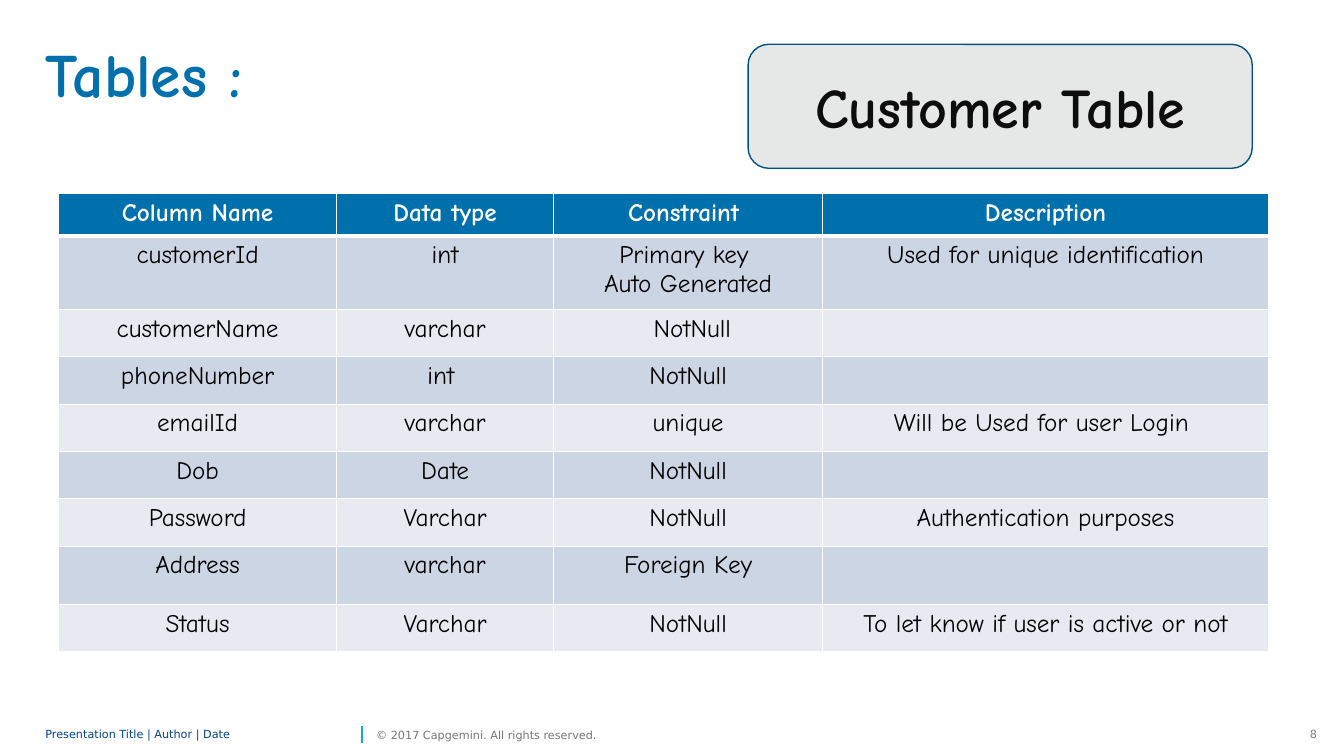
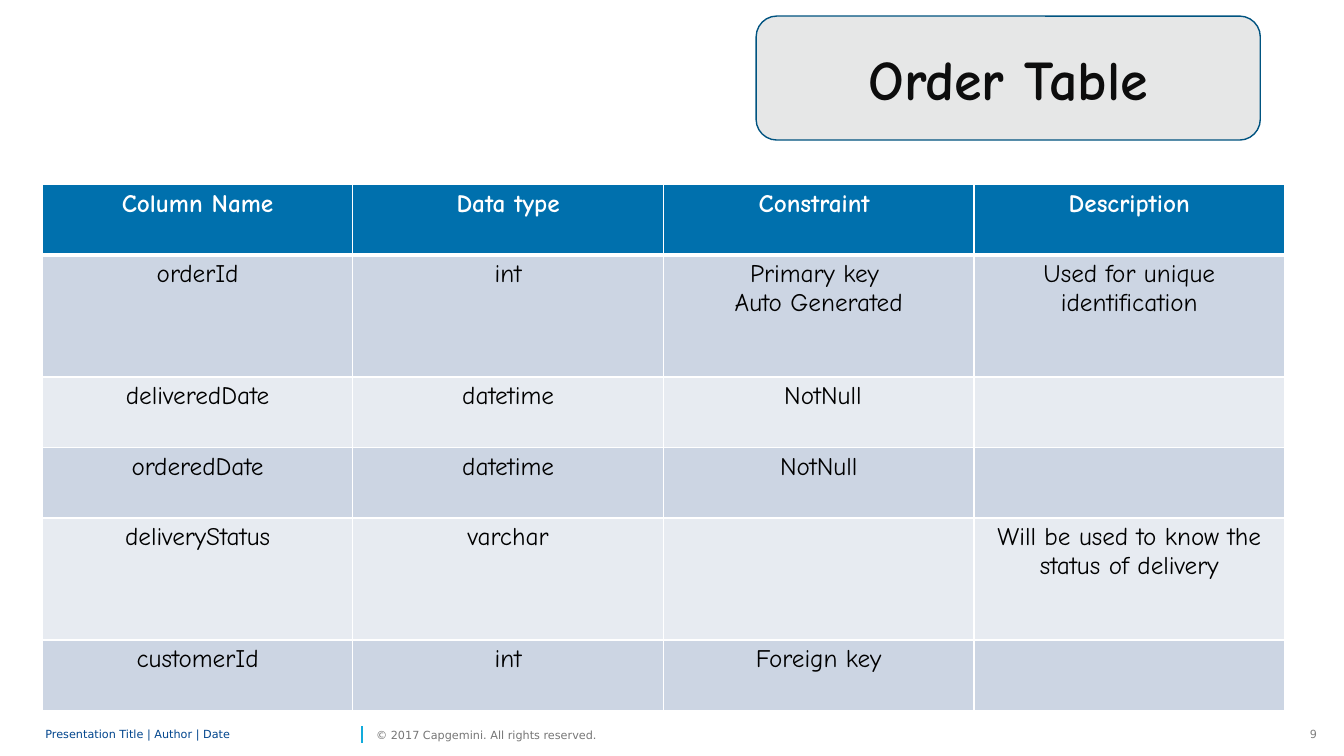
from dataclasses import dataclass

from lxml import etree
from pptx import Presentation
from pptx.dml.color import RGBColor
from pptx.enum.shapes import MSO_CONNECTOR, MSO_SHAPE
from pptx.enum.text import MSO_ANCHOR, MSO_AUTO_SIZE, PP_ALIGN
from pptx.oxml.ns import qn
from pptx.util import Inches, Pt

LEFT, CENTER, RIGHT = PP_ALIGN.LEFT, PP_ALIGN.CENTER, PP_ALIGN.RIGHT
TOP, MIDDLE = MSO_ANCHOR.TOP, MSO_ANCHOR.MIDDLE
NO_FIT = MSO_AUTO_SIZE.NONE
ROUNDED = MSO_SHAPE.ROUNDED_RECTANGLE
STRAIGHT = MSO_CONNECTOR.STRAIGHT
TITLE_ONLY, BLANK = 5, 6

BLUE, WHITE, BLACK = "0070AD", "FFFFFF", "000000"
BANDS = ("CCD5E3", "E7EBF1")
BADGE_FILL, BADGE_LINE, BADGE_TEXT = "E6E7E7", "005380", "0D0D0D"
RULE, FOOTER_BLUE, FOOTER_GREY, NUMBER_GREY = "12ABDB", "00458D", "767676", "808080"
BODY_FONT, FOOTER_FONT = "Comic Neue", "DejaVu Sans"
HEADER = ("Column Name", "Data type", "Constraint ", "Description")


@dataclass
class FooterText:
    text: str
    left: float
    width: float
    color: str
    align: PP_ALIGN = LEFT
    anchor: MSO_ANCHOR = MIDDLE
    inset: float = 0
    wrap: bool = False
    spacing: float = 1.0


@dataclass
class TableSlide:
    number: int
    title: str
    badge: str
    badge_at: tuple[float, float]
    table_at: tuple[float, float]
    widths: list[float]
    heights: list[float]
    rows: list[tuple[str, str, str, str]]


SLIDES = [
    TableSlide(
        8, "Tables :", "Customer Table", (7.42, 0.44), (0.58, 1.92),
        [2.76, 2.15, 2.67, 4.42],
        [0.42, 0.73] + [0.47] * 5 + [0.58, 0.47],
        [
            ("customerId", " int ", "Primary key \nAuto Generated", "Used for unique identification"),
            ("customerName", "varchar", " NotNull", ""),
            ("phoneNumber", "int ", "NotNull", ""),
            ("emailId", "varchar", "unique", "Will be Used for user Login "),
            ("Dob", "Date", "NotNull", ""),
            ("Password", "Varchar", "NotNull", "Authentication purposes"),
            ("Address", "varchar", "Foreign Key", ""),
            ("Status", "Varchar", "NotNull", "To let know if user is active or not"),
        ],
    ),
    TableSlide(
        9, "", "Order Table", (7.5, 0.16), (0.42, 1.83),
        [3.08] * 4,
        [0.7, 1.21, 0.7, 0.7, 1.21, 0.7],
        [
            ("orderId", " int ", "Primary key \nAuto Generated", "Used for unique identification"),
            ("deliveredDate", "datetime", " NotNull", ""),
            ("orderedDate", "datetime", "NotNull", ""),
            ("deliveryStatus", "varchar", "", "Will be used to know the status of delivery"),
            ("customerId", "int", "Foreign key", ""),
        ],
    ),
]


def rgb(color: str) -> RGBColor:
    return RGBColor.from_string(color)


def set_text(tf, text: str, size: float, color: str, font: str = BODY_FONT,
             bold: bool = False, align: PP_ALIGN = CENTER, spacing: float = 1.0) -> None:
    tf.text = text
    for p in tf.paragraphs:
        p.alignment = align
        p.line_spacing = spacing
        p.font.size = Pt(size)
        for r in p.runs:
            r.font.name = font
            r.font.size = Pt(size)
            r.font.bold = bold
            r.font.color.rgb = rgb(color)


def set_frame(tf, anchor: MSO_ANCHOR, inset: float, wrap: bool) -> None:
    tf.auto_size = NO_FIT
    tf.word_wrap = wrap
    tf.vertical_anchor = anchor
    tf.margin_left = tf.margin_right = Inches(inset)
    tf.margin_top = tf.margin_bottom = Inches(inset / 2)


def add_footer(s, number: int) -> None:
    texts = [
        FooterText(str(number), 12.89, 0.27, NUMBER_GREY, RIGHT, TOP, 0.1),
        FooterText("Presentation Title | Author | Date", 0.45, 3.09, FOOTER_BLUE,
                   wrap=True, spacing=0.85),
        FooterText("© 2017 Capgemini. All rights reserved.", 3.73, 2.43, FOOTER_GREY),
    ]
    for item in texts:
        sp = s.shapes.add_textbox(Inches(item.left), Inches(7.17), Inches(item.width), Inches(0.24))
        set_frame(sp.text_frame, item.anchor, item.inset, item.wrap)
        set_text(sp.text_frame, item.text, 8, item.color, FOOTER_FONT,
                 align=item.align, spacing=item.spacing)
    rule = s.shapes.add_connector(STRAIGHT, Inches(3.59), Inches(7.37), Inches(3.59), Inches(7.2))
    rule.line.color.rgb = rgb(RULE)
    rule.line.width = Pt(1)
    etree.SubElement(rule._element.spPr, qn("a:effectLst"))


def add_title(s, text: str) -> None:
    sp = s.shapes.title
    sp.left, sp.top, sp.width, sp.height = Inches(0.45), Inches(0.44), Inches(12.3), Inches(1.23)
    set_frame(sp.text_frame, TOP, 0, True)
    set_text(sp.text_frame, text, 44, BLUE, bold=True, align=LEFT, spacing=0.9)


def add_badge(s, text: str, at: tuple[float, float]) -> None:
    sp = s.shapes.add_shape(ROUNDED, Inches(at[0]), Inches(at[1]), Inches(5), Inches(1.23))
    sp.shadow.inherit = False
    sp.fill.solid()
    sp.fill.fore_color.rgb = rgb(BADGE_FILL)
    sp.line.color.rgb = rgb(BADGE_LINE)
    sp.line.width = Pt(1)
    set_frame(sp.text_frame, MIDDLE, 0.1, True)
    set_text(sp.text_frame, text, 40, BADGE_TEXT, bold=True)


def set_borders(cell, row: int) -> None:
    tc_pr = cell._tc.get_or_add_tcPr()
    widths = {"L": 1, "R": 1, "T": 3 if row == 1 else 1, "B": 3 if row == 0 else 1}
    for side, width in widths.items():
        ln = etree.SubElement(tc_pr, qn(f"a:ln{side}"), w=str(Pt(width)))
        fill = etree.SubElement(ln, qn("a:solidFill"))
        etree.SubElement(fill, qn("a:srgbClr"), val=WHITE)


def add_grid(s, item: TableSlide) -> None:
    rows = [HEADER, *item.rows]
    left, top = item.table_at
    table = s.shapes.add_table(
        len(rows), len(HEADER), Inches(left), Inches(top),
        Inches(sum(item.widths)), Inches(sum(item.heights))).table
    table.horz_banding = False
    for column, width in zip(table.columns, item.widths):
        column.width = Inches(width)
    for i, (row, height) in enumerate(zip(rows, item.heights)):
        table.rows[i].height = Inches(height)
        header = i == 0
        for j, text in enumerate(row):
            cell = table.cell(i, j)
            set_borders(cell, i)
            cell.fill.solid()
            cell.fill.fore_color.rgb = rgb(BLUE if header else BANDS[(i - 1) % 2])
            set_text(cell.text_frame, text, 18, WHITE if header else BLACK, bold=header)


def main() -> None:
    prs = Presentation()
    prs.slide_width, prs.slide_height = Inches(13.33), Inches(7.5)
    for item in SLIDES:
        s = prs.slides.add_slide(prs.slide_layouts[TITLE_ONLY if item.title else BLANK])
        add_footer(s, item.number)
        if item.title:
            add_title(s, item.title)
        add_badge(s, item.badge, item.badge_at)
        add_grid(s, item)
    prs.save("out.pptx")


if __name__ == "__main__":
    main()
